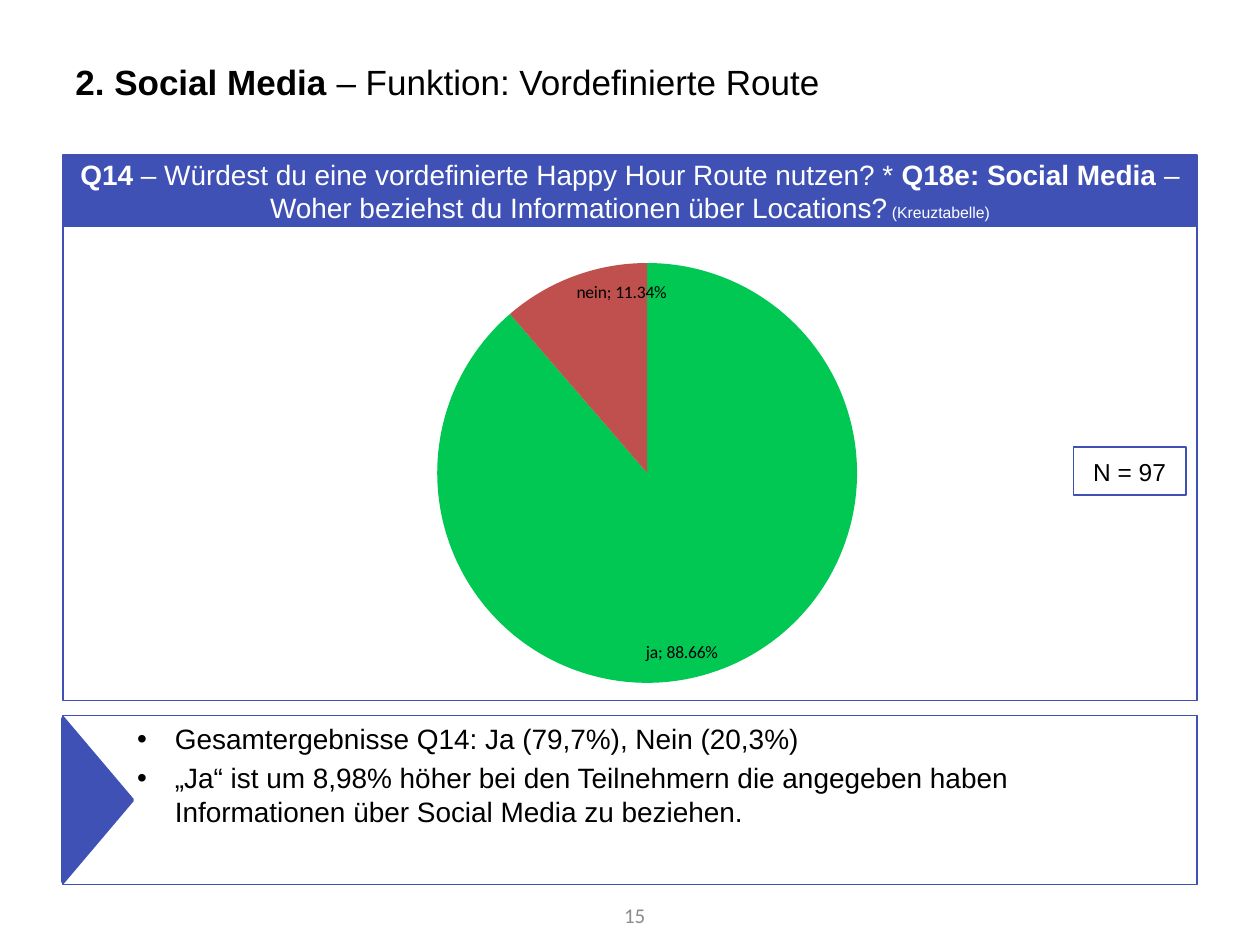
import pptx
import pptx.util
import pptx.chart.data
import pptx.dml.color
import pptx.enum.chart
import pptx.enum.shapes
import pptx.enum.text
import lxml.etree

KIND = pptx.enum.shapes.MSO_SHAPE
ALIGN = pptx.enum.text.PP_ALIGN
ANCHOR = pptx.enum.text.MSO_ANCHOR
CHART = pptx.enum.chart

BLUE, BLACK, WHITE, GREY = "3F51B5", "000000", "FFFFFF", "8C8C8C"
WIDE, HIGH = 10, 7.5
EDGE = WIDE * 0.05
FULL = WIDE - 2 * EDGE
BAND = 0.55

# Each paragraph is a list of runs: text, bold, size
TITLE = [[("2. Social Media ", True, 20),
          ("– Funktion: Vordefinierte Route", False, 20)]]
HEAD = [[("Q14 ", True, 16),
         ("– Würdest du eine vordefinierte Happy Hour Route nutzen? * ", False, 16),
         ("Q18e: Social Media", True, 16),
         (" – Woher beziehst du Informationen über Locations?", False, 16),
         (" (Kreuztabelle)", False, 9)]]
NOTES = [[(text, False, 16)] for text in (
    "Gesamtergebnisse Q14: Ja (79,7%), Nein (20,3%)",
    "„Ja“ ist um 8,98% höher bei den Teilnehmern die angegeben haben "
    "Informationen über Social Media zu beziehen.")]
COUNT = [[("N = 97", False, 14)]]
PAGE = [[("15", False, 12)]]
SLICES = [("ja", 0.8866, "00C853"), ("nein", 0.1134, "C0504D")]
PLOT = {"x": 0.276, "y": 0.079, "w": 0.477, "h": 0.884}


def rgb(code):
    """Turn a hex string into a colour."""
    return pptx.dml.color.RGBColor.from_string(code)


def put(item, values):
    """Set attributes from a dict."""
    for name, value in values.items():
        setattr(item, name, value)


def inches(box):
    """Turn a box of inches into lengths."""
    return [pptx.util.Inches(n) for n in box]


def paint(fill, code):
    """Fill with one solid colour."""
    fill.solid()
    fill.fore_color.rgb = rgb(code)


def write(shape, paras, color=BLACK, font="Arial", align=ALIGN.LEFT,
          anchor=ANCHOR.MIDDLE):
    """Write paragraphs of runs into a shape."""
    frame = shape.text_frame
    put(frame, {"word_wrap": True, "vertical_anchor": anchor})
    for i, runs in enumerate(paras):
        para = frame.paragraphs[0] if i == 0 else frame.add_paragraph()
        para.alignment = align
        for text, bold, size in runs:
            run = para.add_run()
            run.text = text
            put(run.font, {"name": font, "bold": bold,
                           "size": pptx.util.Pt(size)})
            run.font.color.rgb = rgb(color)


def draw(slide, box, fill=None, kind=KIND.RECTANGLE, width=1):
    """Add a blue outlined shape."""
    shape = slide.shapes.add_shape(kind, *inches(box))
    shape.shadow.inherit = False
    shape.line.color.rgb = rgb(BLUE)
    shape.line.width = pptx.util.Pt(width)
    if fill:
        paint(shape.fill, fill)
    else:
        shape.fill.background()
    return shape


def label(slide, box, paras, **style):
    """Add a plain text box."""
    write(slide.shapes.add_textbox(*inches(box)), paras, **style)


def bullet(para):
    """Give a paragraph a hanging bullet."""
    para.space_before = pptx.util.Pt(3.2)
    props = para._p.get_or_add_pPr()
    props.set("marL", str(pptx.util.Inches(0.79)))
    props.set("indent", str(pptx.util.Inches(-0.3)))
    for tag, key, value in (("buFont", "typeface", "Arial"),
                            ("buChar", "char", "•")):
        node = lxml.etree.SubElement(props, pptx.oxml.ns.qn("a:" + tag))
        node.set(key, value)


def place(chart):
    """Fix the inner plot area by shares of the chart."""
    qn = pptx.oxml.ns.qn
    area = chart._chartSpace.find(".//" + qn("c:plotArea"))
    for old in area.findall(qn("c:layout")):
        area.remove(old)
    outer = lxml.etree.Element(qn("c:layout"))
    area.insert(0, outer)
    inner = lxml.etree.SubElement(outer, qn("c:manualLayout"))
    rules = [("layoutTarget", "inner"), ("xMode", "edge"), ("yMode", "edge")]
    for tag, value in rules + list(PLOT.items()):
        lxml.etree.SubElement(inner, qn("c:" + tag)).set("val", str(value))


def pie(slide, box):
    """Add the pie chart with labels inside its slices."""
    data = pptx.chart.data.CategoryChartData(number_format="0.00%")
    data.categories = [name for name, _, _ in SLICES]
    data.add_series("Series 1", [value for _, value, _ in SLICES])
    chart = slide.shapes.add_chart(
        CHART.XL_CHART_TYPE.PIE, *inches(box), data).chart
    put(chart, {"has_legend": False, "has_title": False})
    put(chart.font, {"name": "Calibri", "size": pptx.util.Pt(10)})
    chart.font.color.rgb = rgb(BLACK)
    plot = chart.plots[0]
    put(plot, {"vary_by_categories": True, "has_data_labels": True})
    put(plot.data_labels, {
        "show_value": True, "show_category_name": True,
        "show_percentage": False, "number_format": "0.00%",
        "number_format_is_linked": False,
        "position": CHART.XL_LABEL_POSITION.INSIDE_END})
    mark = lxml.etree.Element(pptx.oxml.ns.qn("c:separator"))
    mark.text = "; "
    size = plot.data_labels._element.find(pptx.oxml.ns.qn("c:showBubbleSize"))
    if size is None:
        plot.data_labels._element.append(mark)
    else:
        size.addnext(mark)
    for i, (_, _, color) in enumerate(SLICES):
        paint(plot.series[0].points[i].format.fill, color)
    place(chart)


def build():
    """Build and save the slide."""
    deck = pptx.Presentation()
    put(deck, {"slide_width": pptx.util.Inches(WIDE),
               "slide_height": pptx.util.Inches(HIGH)})
    slide = deck.slides.add_slide(deck.slide_layouts[6])
    label(slide, (EDGE, 0.3, FULL, 0.69), TITLE)

    top, tall = 5.68, 1.34
    notes = draw(slide, (EDGE, top, FULL, tall))
    write(notes, NOTES, anchor=ANCHOR.TOP)
    for para in notes.text_frame.paragraphs:
        bullet(para)
    side = 1.3
    arrow = draw(slide, (EDGE + (BAND - side) / 2, top + (tall - BAND) / 2,
                         side, BAND), BLUE, KIND.ISOSCELES_TRIANGLE, 2)
    arrow.rotation = 90

    draw(slide, (EDGE, 1.23, FULL, 4.33))
    head = draw(slide, (EDGE + 0.01, 1.24, FULL - 0.02, BAND), BLUE, width=2)
    write(head, HEAD, WHITE, align=ALIGN.CENTER)
    count = draw(slide, (8.52, 3.55, 0.89, 0.38))
    write(count, COUNT, align=ALIGN.CENTER)
    label(slide, (4.59, 7.06, 0.63, 0.4), PAGE, color=GREY,
          font="Calibri", align=ALIGN.RIGHT)
    pie(slide, (1.54, 1.79, 6.99, 3.77))
    deck.save("out.pptx")


build()
